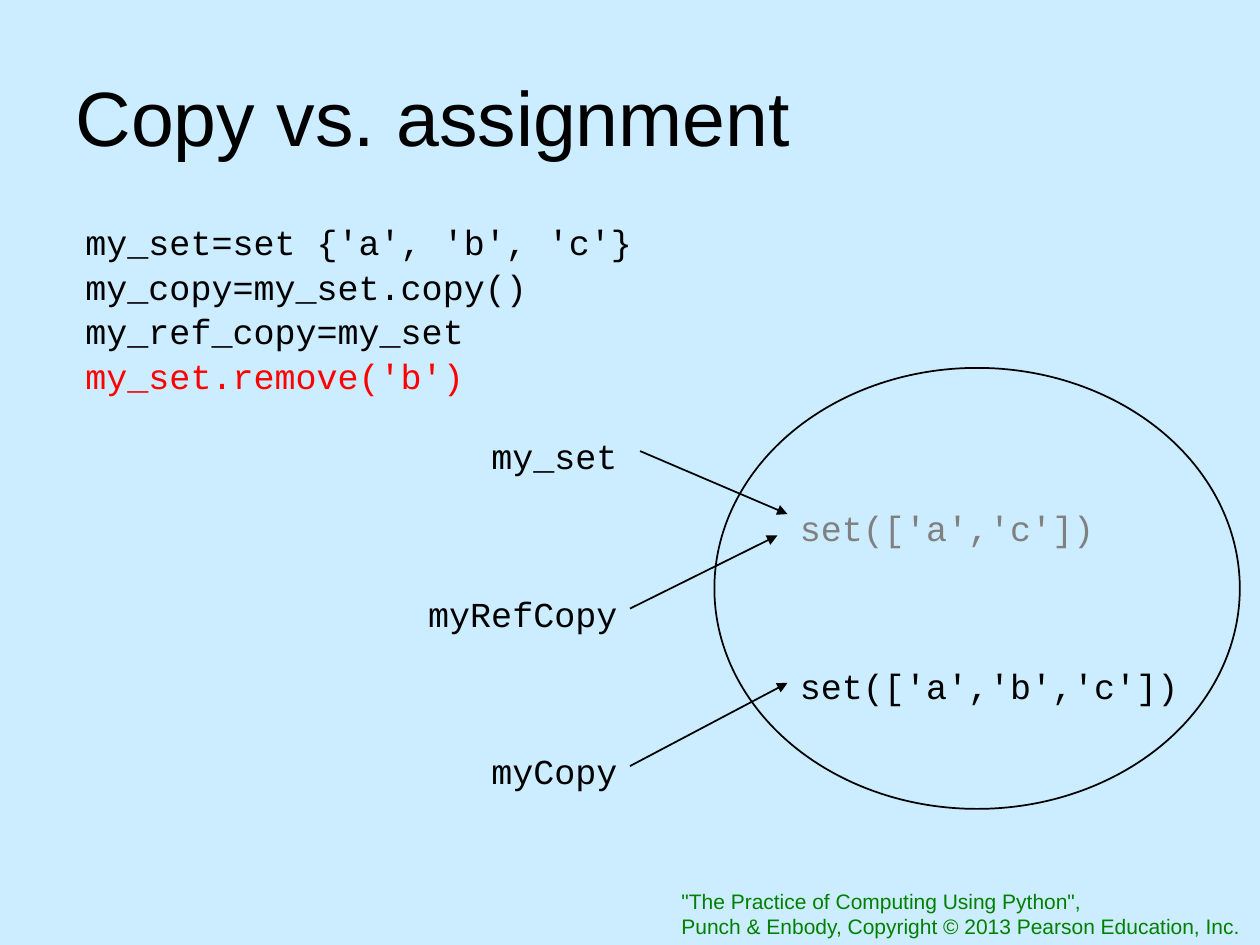
from pptx import Presentation
from pptx.dml.color import RGBColor
from pptx.enum import shapes, text
from pptx.oxml.ns import qn
from pptx import util as u
from lxml import etree

BLACK = RGBColor(0x00, 0x00, 0x00)
RED = RGBColor(0xFF, 0x00, 0x00)
GRAY = RGBColor(0x80, 0x80, 0x80)
GREEN = RGBColor(0x00, 0x80, 0x00)
SKY = RGBColor(0xCC, 0xEC, 0xFF)
SANS, MONO = "Arial", "Courier New"

TITLE = "Copy vs. assignment"
CODE = [
    ("my_set=set {'a', 'b', 'c'}", BLACK),
    ("my_copy=my_set.copy()", BLACK),
    ("my_ref_copy=my_set", BLACK),
    ("my_set.remove('b')", RED),
]
NAMES = ["my_set", "myRefCopy", "myCopy"]
VALUES = [("set(['a','c'])", GRAY), ("set(['a','b','c'])", BLACK)]
ARROWS = [
    ((5.08, 3.58), (6.25, 4.08)),
    ((5, 4.83), (6.17, 4.25)),
    ((5, 6.08), (6.25, 5.42)),
]
FOOTER = [
    ('"The Practice of Computing Using Python",', GREEN),
    ("Punch & Enbody, Copyright © 2013 Pearson Education, Inc.", GREEN),
]

W, H = 10, 7.5
ROW = H / 6
NAME_TOP, VALUE_TOP = 3.33, 3.9
LABEL_H = 0.43
CODE_INSET = 0.12

prs = Presentation()
prs.slide_width, prs.slide_height = u.Inches(W), u.Inches(H)
slide = prs.slides.add_slide(prs.slide_layouts[5])
slide.background.fill.solid()
slide.background.fill.fore_color.rgb = SKY


def inches(*values):
    return [u.Inches(v) for v in values]


def add_run(p, content, font, size, color):
    r = p.add_run()
    r.text = content
    r.font.name, r.font.size = font, u.Pt(size)
    r.font.color.rgb = color


def add_text(box, lines, font=MONO, size=20, align=text.PP_ALIGN.LEFT,
             inset=CODE_INSET, spacing=None, before=0, wrap=True):
    tf = slide.shapes.add_textbox(*inches(*box)).text_frame
    tf.word_wrap = wrap
    tf.margin_top = u.Inches(inset)
    for i, (content, color) in enumerate(lines):
        p = tf.paragraphs[0] if i == 0 else tf.add_paragraph()
        p.alignment = align
        if spacing:
            p.line_spacing = spacing
        if i:
            p.space_before = u.Pt(before)
        add_run(p, content, font, size, color)


def style_line(sp):
    sp.line.color.rgb = BLACK
    sp.line.width = u.Pt(1)


add_text((5.31, 7, 4.68, 0.5), FOOTER, SANS, 12, inset=0.05, wrap=False)

title = slide.shapes.title
title.left, title.top, title.width, title.height = inches(0.5, 0.5, 9, 0.83)
tf = title.text_frame
tf.vertical_anchor = text.MSO_ANCHOR.MIDDLE
tf.paragraphs[0].alignment = text.PP_ALIGN.LEFT
add_run(tf.paragraphs[0], TITLE, SANS, 44, BLACK)

add_text((0.58, 1.75, 4.83, 1.44), CODE, spacing=0.6, before=11)

for i, name in enumerate(NAMES):
    add_text((2.5, NAME_TOP + i * ROW, 2.5, LABEL_H), [(name, BLACK)],
             align=text.PP_ALIGN.RIGHT)
for i, value in enumerate(VALUES):
    add_text((6.25, VALUE_TOP + i * ROW, 3.25, LABEL_H), [value])

for start, end in ARROWS:
    arrow = slide.shapes.add_connector(
        shapes.MSO_CONNECTOR.STRAIGHT, *inches(*start, *end))
    style_line(arrow)
    etree.SubElement(arrow.line._get_or_add_ln(), qn("a:tailEnd"), type="triangle")
    etree.SubElement(arrow._element.spPr, qn("a:effectLst"))

memory = slide.shapes.add_shape(
    shapes.MSO_SHAPE.OVAL, *inches(5.67, 2.92, 4.17, 3.5))
memory.shadow.inherit = False
memory.fill.background()
style_line(memory)

prs.save("out.pptx")
